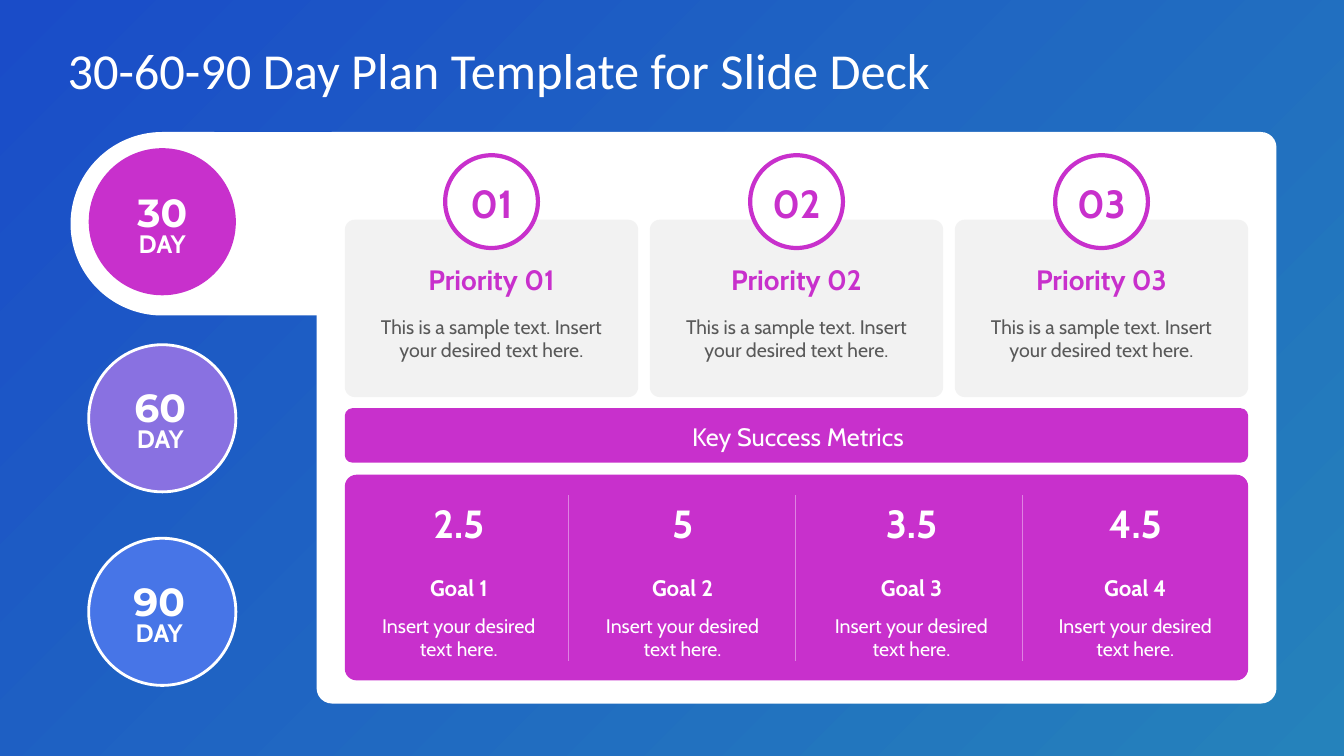
from dataclasses import dataclass
from typing import Optional

from lxml import etree
from pptx import Presentation
from pptx.dml import color as dml
from pptx.enum import shapes, text
from pptx.oxml import ns
from pptx.util import Inches, Pt

COLORS = {
    "blue": "1A4CC8", "teal": "2582BB", "white": "FFFFFF", "magenta": "C830CC",
    "purple": "8971E1", "azure": "4775E7", "card": "F2F2F2", "body": "595959",
    "divider": "DF82E2",
}
ROUNDED = shapes.MSO_SHAPE.ROUNDED_RECTANGLE
OVAL = shapes.MSO_SHAPE.OVAL
TOP = text.MSO_ANCHOR.TOP
MIDDLE = text.MSO_ANCHOR.MIDDLE


@dataclass
class Box:
    left: float
    top: float
    width: float
    height: float

    def inches(self) -> list:
        return [Inches(v) for v in (self.left, self.top, self.width, self.height)]

    def centred(self, top: float, width: float, height: float) -> "Box":
        return Box(self.left + (self.width - width) / 2, top, width, height)


@dataclass
class Style:
    size: float
    color: str = "white"
    bold: bool = False
    font: str = "Cabin"
    align: text.PP_ALIGN = text.PP_ALIGN.CENTER
    anchor: text.MSO_ANCHOR = TOP
    insets: tuple = (0, 0)  # horizontal, vertical
    spacing: Optional[float] = None


@dataclass
class Day:
    number: str
    color: str
    circle_top: float
    label_left: float
    label_top: float
    outline: float


@dataclass
class Goal:
    value: str
    left: float


TITLE = Style(36, font="Calibri", align=text.PP_ALIGN.LEFT, anchor=MIDDLE,
              insets=(0, 0.07))
DAY_NUMBER = Style(28, bold=True, font="Montserrat", anchor=MIDDLE, spacing=0.8)
DAY_WORD = Style(18, bold=True, insets=(0.1, 0.05))
PRIORITY_NUMBER = Style(28, "magenta", bold=True, anchor=MIDDLE)
PRIORITY_NAME = Style(20, "magenta", bold=True)
PRIORITY_TEXT = Style(14, "body")
BANNER = Style(18, anchor=MIDDLE)
GOAL_VALUE = Style(28, bold=True, insets=(0.1, 0.05))
GOAL_NAME = Style(16, bold=True)
GOAL_TEXT = Style(14)

DAYS = [
    Day("30", "magenta", 1.47, 1.13, 1.95, 0),
    Day("60", "purple", 3.42, 1.11, 3.88, 2),
    Day("90", "azure", 5.34, 1.1, 5.81, 2),
]
GOALS = [Goal("2.5", 3.64), Goal("5", 5.86), Goal("3.5", 8.13), Goal("4.5", 10.35)]
CONTENT_LEFT, CONTENT_WIDTH = 3.42, 8.96
CARD_WIDTH, CARD_COUNT = 2.91, 3
CARD_STEP = (CONTENT_WIDTH - CARD_WIDTH) / (CARD_COUNT - 1)
DIVIDER_LEFT, DIVIDER_STEP = 5.64, 2.25


def rgb(name: str) -> dml.RGBColor:
    return dml.RGBColor.from_string(COLORS[name])


def add_shape(slide, kind: shapes.MSO_SHAPE, box: Box, fill: str,
              line: str = "white", line_width: float = 0,
              rounding: Optional[float] = None) -> None:
    shape = slide.shapes.add_shape(kind, *box.inches())
    shape.shadow.inherit = False
    shape.fill.solid()
    shape.fill.fore_color.rgb = rgb(fill)
    if line_width:
        shape.line.color.rgb = rgb(line)
        shape.line.width = Pt(line_width)
    else:
        shape.line.fill.background()
    if rounding is not None:
        shape.adjustments[0] = rounding


def add_text(slide, box: Box, words: str, style: Style) -> None:
    frame = slide.shapes.add_textbox(*box.inches()).text_frame
    frame.word_wrap = True
    frame.vertical_anchor = style.anchor
    horizontal, vertical = style.insets
    frame.margin_left = frame.margin_right = Inches(horizontal)
    frame.margin_top = frame.margin_bottom = Inches(vertical)
    paragraph = frame.paragraphs[0]
    paragraph.alignment = style.align
    if style.spacing:
        paragraph.line_spacing = style.spacing
    run = paragraph.add_run()
    run.text = words
    run.font.name = style.font
    run.font.size = Pt(style.size)
    run.font.bold = style.bold
    run.font.color.rgb = rgb(style.color)


def add_divider(slide, left: float, top: float, bottom: float) -> None:
    line = slide.shapes.add_connector(
        shapes.MSO_CONNECTOR.STRAIGHT,
        Inches(left), Inches(top), Inches(left), Inches(bottom))
    line.line.color.rgb = rgb("divider")
    line.line.width = Pt(0.75)
    etree.SubElement(line._element.spPr, ns.qn("a:effectLst"))


def add_background(slide) -> None:
    fill = slide.background.fill
    fill.gradient()
    fill.gradient_angle = 315
    for stop, name, position in zip(fill.gradient_stops, ("blue", "teal"), (0, 1)):
        stop.color.rgb = rgb(name)
        stop.position = position


def add_day(slide, day: Day) -> None:
    add_shape(slide, OVAL, Box(0.88, day.circle_top, 1.46, 1.46), day.color,
              line_width=day.outline)
    label = Box(day.label_left, day.label_top, 0.96, 0.39)
    add_text(slide, label, day.number, DAY_NUMBER)
    add_text(slide, label.centred(day.label_top + 0.27, 0.93, 0.4), "DAY", DAY_WORD)


def add_priority(slide, index: int) -> None:
    number = f"{index + 1:02d}"
    card = Box(CONTENT_LEFT + index * CARD_STEP, 2.18, CARD_WIDTH, 1.76)
    add_shape(slide, ROUNDED, card, "card", rounding=0.057)
    add_shape(slide, OVAL, card.centred(1.54, 0.92, 0.92), "white", "magenta", 3)
    add_text(slide, card.centred(1.78, 0.53, 0.47), number, PRIORITY_NUMBER)
    add_text(slide, card.centred(2.6, 2.36, 0.34), f"Priority {number}", PRIORITY_NAME)
    add_text(slide, card.centred(3.12, 2.36, 0.47),
             "This is a sample text. Insert your desired text here.", PRIORITY_TEXT)


def add_goal(slide, number: int, goal: Goal) -> None:
    rows = [
        (4.9, 0.57, goal.value, GOAL_VALUE),
        (5.7, 0.27, f"Goal {number}", GOAL_NAME),
        (6.09, 0.47, "Insert your desired text here.", GOAL_TEXT),
    ]
    for top, height, words, style in rows:
        add_text(slide, Box(goal.left, top, 1.82, height), words, style)


def main() -> None:
    presentation = Presentation()
    presentation.slide_width = Inches(13.33)
    presentation.slide_height = Inches(7.5)
    slide = presentation.slides.add_slide(presentation.slide_layouts[6])
    add_background(slide)

    # White panel with its tab, and the title
    add_shape(slide, ROUNDED, Box(0.7, 1.31, 4.44, 1.82), "white", rounding=0.5)
    add_shape(slide, ROUNDED, Box(3.14, 1.31, 9.52, 5.67), "white", rounding=0.027)
    add_text(slide, Box(0.67, 0.3, 12, 0.78),
             "30-60-90 Day Plan Template for Slide Deck", TITLE)

    # Day circles
    for day in DAYS:
        add_day(slide, day)

    # Priority cards
    for index in range(CARD_COUNT):
        add_priority(slide, index)

    # Metrics banner and goals
    add_shape(slide, ROUNDED, Box(CONTENT_LEFT, 4.05, CONTENT_WIDTH, 0.54),
              "magenta", rounding=0.139)
    add_text(slide, Box(3.63, 4.18, 8.57, 0.3), "Key Success Metrics", BANNER)
    add_shape(slide, ROUNDED, Box(CONTENT_LEFT, 4.71, CONTENT_WIDTH, 2.04),
              "magenta", rounding=0.057)
    for number, goal in enumerate(GOALS, start=1):
        add_goal(slide, number, goal)
    for index in range(len(GOALS) - 1):
        add_divider(slide, DIVIDER_LEFT + index * DIVIDER_STEP, 4.91, 6.56)

    presentation.save("out.pptx")


if __name__ == "__main__":
    main()
